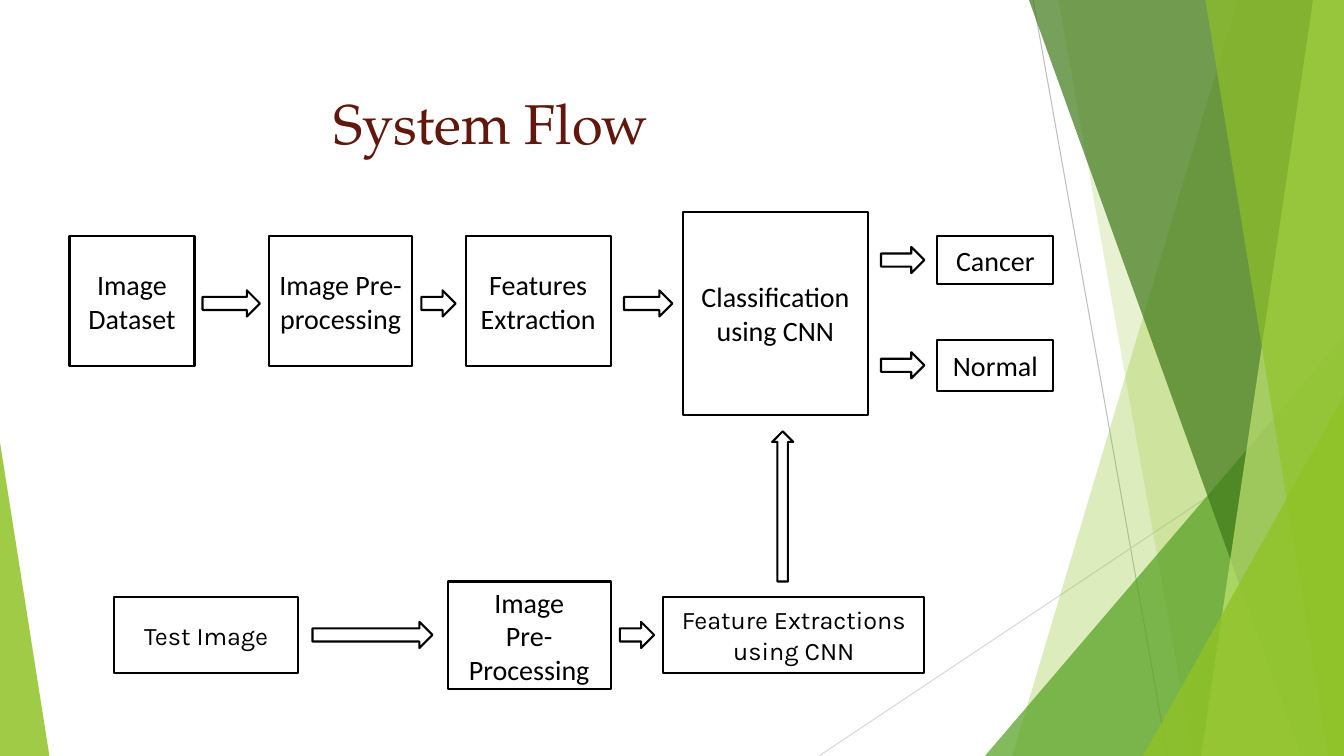
from pptx import Presentation
from pptx.dml.color import RGBColor
from pptx.enum.shapes import MSO_CONNECTOR, MSO_SHAPE
from pptx.enum.text import MSO_ANCHOR, PP_ALIGN
from pptx.oxml.ns import qn
from pptx.util import Pt
from lxml import etree

RECT = MSO_SHAPE.RECTANGLE
ARROW = MSO_SHAPE.RIGHT_ARROW
TRIANGLE = MSO_SHAPE.ISOSCELES_TRIANGLE
STRAIGHT = MSO_CONNECTOR.STRAIGHT
MIDDLE = MSO_ANCHOR.MIDDLE
LEFT, CENTER = PP_ALIGN.LEFT, PP_ALIGN.CENTER

WHITE = RGBColor(0xFF, 0xFF, 0xFF)
BLACK = RGBColor(0x00, 0x00, 0x00)
MAROON = RGBColor(0x62, 0x17, 0x0D)
LIME = RGBColor(0x90, 0xC2, 0x26)
GREEN = RGBColor(0x54, 0xA0, 0x21)
DARK_GREEN = RGBColor(0x3F, 0x78, 0x19)
PALE_LIME = RGBColor(0xC0, 0xE4, 0x74)
GRAY = RGBColor(0xBF, 0xBF, 0xBF)
LIGHT_GRAY = RGBColor(0xD9, 0xD9, 0xD9)

WIDTH, HEIGHT = 960, 540
ARROW_H = 18.7
TOP_ROW, TOP_H = 168.5, 93
TOP_ARROW_Y = 207.4
TEST_ROW, TEST_H = 426.2, 54.7
TEST_ARROW_Y = 444.2
RESULT_X, RESULT_W = 669.6, 82.8


def write(tf, text, size=20, font="Calibri", color=BLACK, align=CENTER):
    tf.text = text
    tf.vertical_anchor = MIDDLE
    for p in tf.paragraphs:
        p.alignment = align
        for r in p.runs:
            r.font.size = Pt(size)
            r.font.name = font
            r.font.color.rgb = color


def add_line(slide, x1, y1, x2, y2, color):
    line = slide.shapes.add_connector(STRAIGHT, Pt(x1), Pt(y1), Pt(x2), Pt(y2))
    line.line.color.rgb = color
    line.line.width = Pt(0.75)
    etree.SubElement(line._element.spPr, qn("a:effectLst"))


def tint(sp, color, opacity):
    sp.shadow.inherit = False
    sp.line.fill.background()
    sp.fill.solid()
    sp.fill.fore_color.rgb = color
    clr = sp._element.spPr.find(qn("a:solidFill"))[0]
    etree.SubElement(clr, qn("a:alpha"), val=str(opacity * 1000))


def add_band(slide, top_left, top_right, bottom_right, bottom_left, color, opacity):
    builder = slide.shapes.build_freeform(Pt(top_left), Pt(0))
    corners = [(top_right, 0), (bottom_right, HEIGHT), (bottom_left, HEIGHT)]
    builder.add_line_segments([(Pt(x), Pt(y)) for x, y in corners], close=True)
    tint(builder.convert_to_shape(), color, opacity)


def add_wedge(slide, x, y, w, apex, color, opacity):
    sp = slide.shapes.add_shape(TRIANGLE, Pt(x), Pt(y), Pt(w), Pt(HEIGHT - y))
    sp.adjustments[0] = apex
    tint(sp, color, opacity)


def add_outlined(slide, kind, x, y, w, h):
    sp = slide.shapes.add_shape(kind, Pt(x), Pt(y), Pt(w), Pt(h))
    sp.shadow.inherit = False
    sp.fill.solid()
    sp.fill.fore_color.rgb = WHITE
    sp.line.color.rgb = BLACK
    sp.line.width = Pt(1.5)
    return sp


def add_box(slide, text, x, y, w, h, **fmt):
    write(add_outlined(slide, RECT, x, y, w, h).text_frame, text, **fmt)


def add_arrow(slide, x, y, w, h=ARROW_H, rotation=0):
    add_outlined(slide, ARROW, x, y, w, h).rotation = rotation


def add_backdrop(slide):
    add_line(slide, 738, 0, 834, HEIGHT, GRAY)
    add_line(slide, WIDTH, 290, 585, HEIGHT, LIGHT_GRAY)
    add_band(slide, 884, WIDTH, WIDTH, 723, LIME, 30)
    add_band(slide, 756, WIDTH, WIDTH, 852, LIME, 20)
    add_wedge(slide, 703.5, 240, 256.5, 1, GREEN, 72)
    add_band(slide, 735, WIDTH, WIDTH, 929.5, DARK_GREEN, 70)
    add_band(slide, 938, WIDTH, WIDTH, 858, PALE_LIME, 70)
    add_band(slide, 861, WIDTH, WIDTH, 949, LIME, 65)
    add_wedge(slide, 816.5, 283, 143.5, 1, LIME, 80)
    add_wedge(slide, 0, 316, 35.3, 0, LIME, 85)


def add_title(slide):
    title = slide.shapes.title
    title.left, title.top, title.width, title.height = Pt(53), Pt(48), Pt(616), Pt(78)
    write(title.text_frame, "System Flow", size=40, font="TeX Gyre Pagella",
          color=MAROON, align=LEFT)
    title.text_frame.margin_left = Pt(185)


def add_training_flow(slide):
    for text, x, w in [("Image Dataset", 49.7, 89.3),
                       ("Image Pre-processing", 192.2, 102.2),
                       ("Features Extraction", 332.6, 103.7)]:
        add_box(slide, text, x, TOP_ROW, w, TOP_H)
    add_box(slide, "Classification using CNN", 488, 151.2, 131.8, 145.4)
    for x, w in [(144.7, 41), (301, 24.5), (445.7, 34.6)]:
        add_arrow(slide, x, TOP_ARROW_Y, w)
    for text, y, h in [("Cancer", TOP_ROW, 34.6), ("Normal", 242.6, 36.7)]:
        add_box(slide, text, RESULT_X, y, RESULT_W, h)
        add_arrow(slide, 629.3, y + (h - ARROW_H) / 2, 31)


def add_test_flow(slide):
    for text, x, w in [("Test Image", 81.4, 131.8),
                       ("Feature Extractions using CNN", 473.8, 186.5)]:
        add_box(slide, text, x, TEST_ROW, w, TEST_H, size=18, font="Karla")
    add_box(slide, "Image\nPre-Processing", 319.7, 415.4, 116.6, 77)
    for x, w in [(223.2, 85.7), (442.8, 24.5)]:
        add_arrow(slide, x, TEST_ARROW_Y, w)
    add_arrow(slide, 505.4, 354.2, 107.3, 15.1, rotation=270)


def main():
    prs = Presentation()
    prs.slide_width, prs.slide_height = Pt(WIDTH), Pt(HEIGHT)
    slide = prs.slides.add_slide(prs.slide_layouts[5])
    add_backdrop(slide)
    add_title(slide)
    add_training_flow(slide)
    add_test_flow(slide)
    prs.save("out.pptx")


main()
